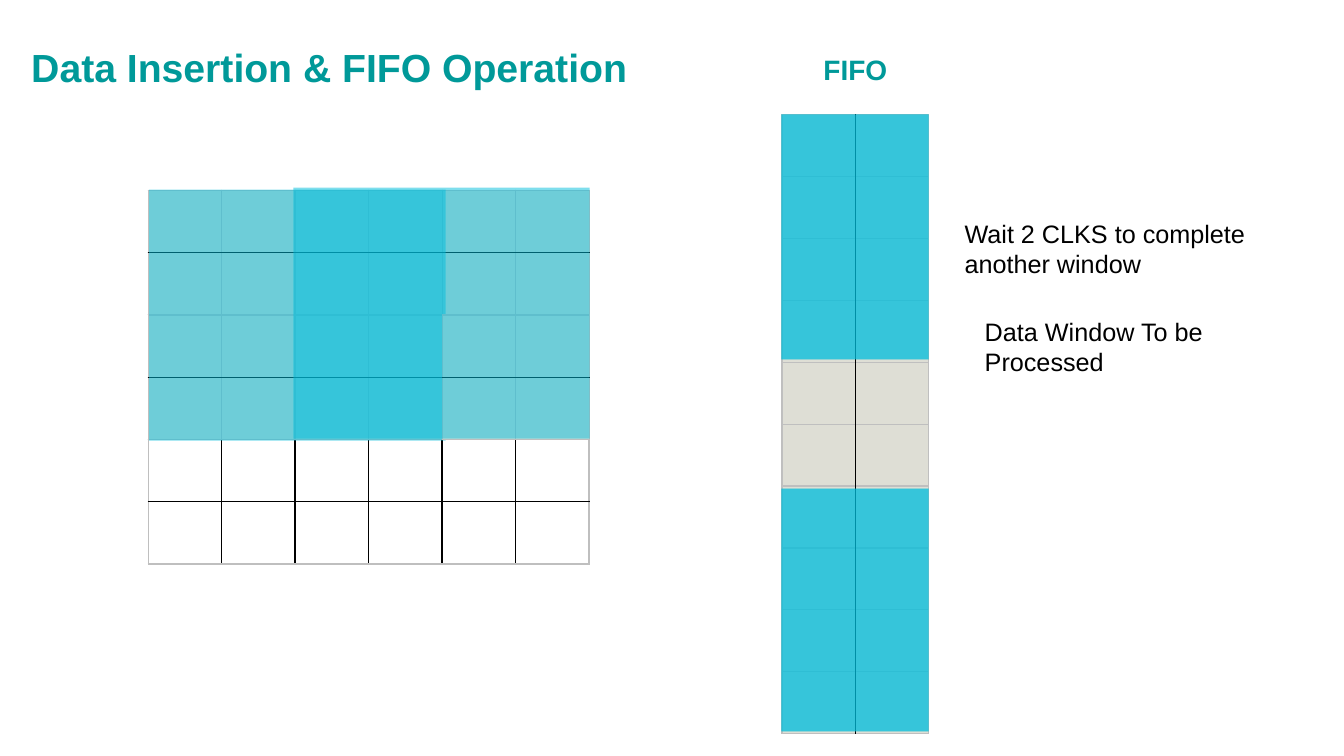
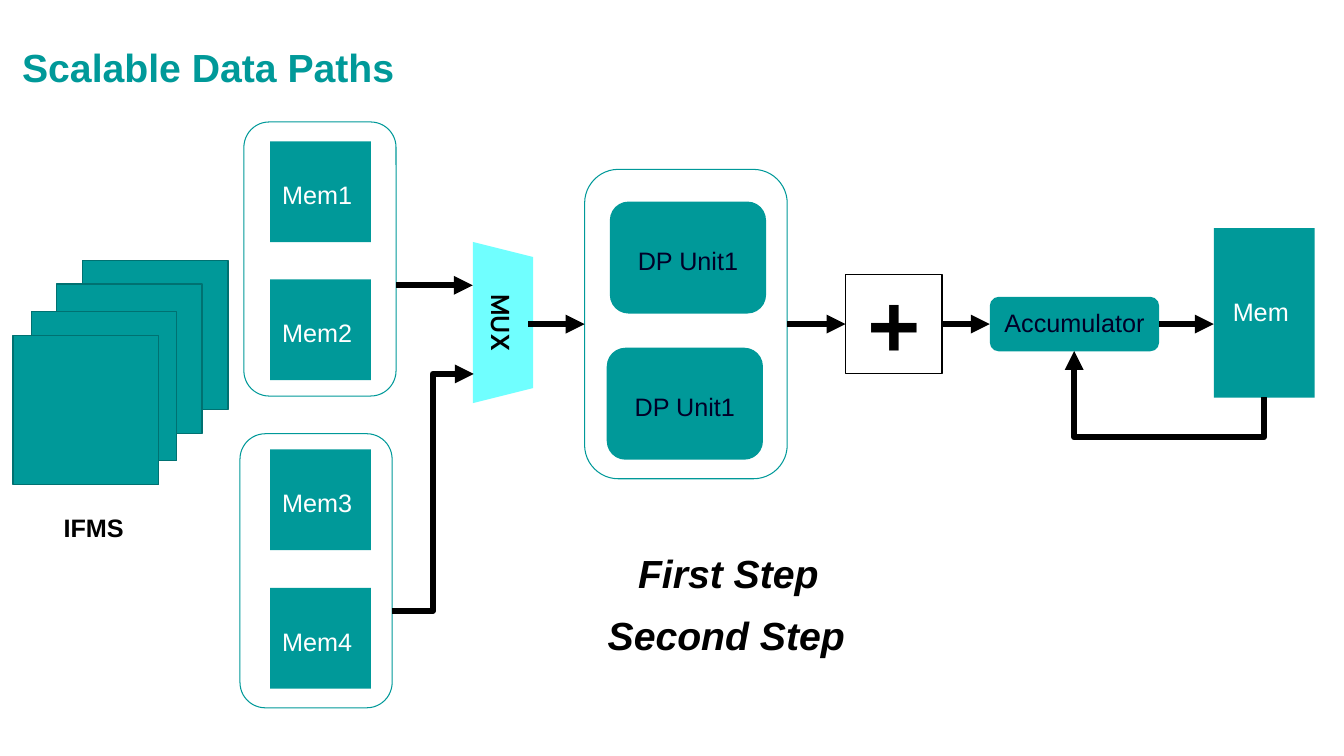
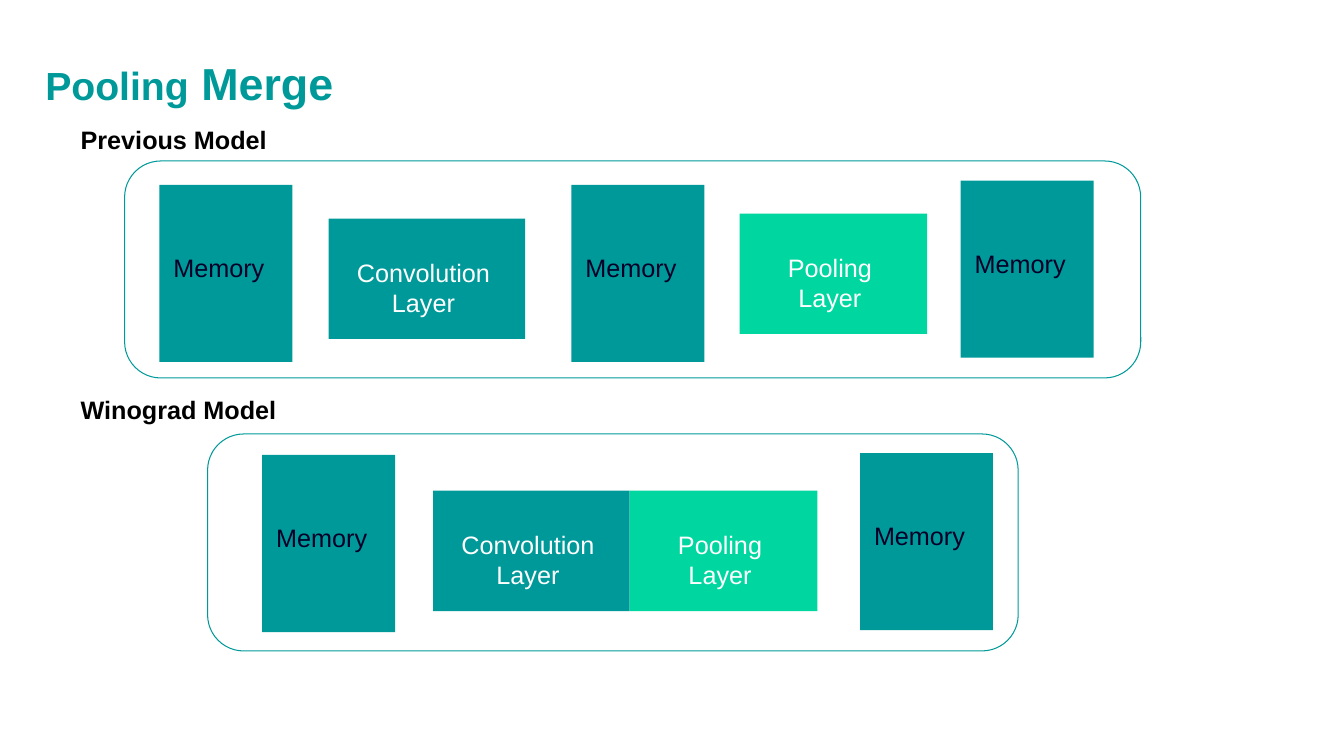
from lxml.etree import SubElement
from pptx import Presentation
from pptx.dml.color import RGBColor
from pptx.enum.shapes import MSO_CONNECTOR as Connector, MSO_SHAPE as Shape
from pptx.enum.text import MSO_ANCHOR as Anchor, MSO_AUTO_SIZE as AutoSize, PP_ALIGN as Align
from pptx.oxml.ns import qn
from pptx.util import Pt

TEAL = RGBColor(0x00, 0x99, 0x99)
DARK_TEAL = RGBColor(0x00, 0x71, 0x71)
GREEN = RGBColor(0x00, 0xD7, 0xA0)
CYAN = RGBColor(0x00, 0xBE, 0xDC)
AQUA = RGBColor(0x70, 0xFF, 0xFF)
SAND = RGBColor(0xDE, 0xDE, 0xD5)
GREY = RGBColor(0xBF, 0xBF, 0xBF)
NAVY = RGBColor(0x00, 0x00, 0x28)
BLACK = RGBColor(0x00, 0x00, 0x00)
WHITE = RGBColor(0xFF, 0xFF, 0xFF)

HEADING = {"vertical_anchor": Anchor.BOTTOM, "margin_left": 0, "margin_top": 0,
           "margin_right": Pt(25), "margin_bottom": Pt(1.4)}
PLAIN = {"margin_left": 0, "margin_top": 0, "margin_right": 0, "margin_bottom": 0}
ONE_DOWN = {"margin_left": Pt(8.6), "margin_top": Pt(27.3), "margin_right": Pt(8.6), "margin_bottom": 0}
TWO_DOWN = ONE_DOWN | {"margin_top": Pt(48.3)}
TOP_LEFT = ONE_DOWN | {"margin_top": Pt(5.8), "margin_right": 0}
MIDDLE = {"vertical_anchor": Anchor.MIDDLE}
REGULAR = {"name": "Arial", "size": Pt(18), "bold": False}
BOLD = REGULAR | {"bold": True}
TITLE_FONT = BOLD | {"size": Pt(28)}
STEP_FONT = TITLE_FONT | {"italic": True}


def write(frame, parts, color, layout, align=Align.LEFT):
    frame.word_wrap = True
    frame.auto_size = AutoSize.NONE
    frame.vertical_anchor = Anchor.TOP
    for key, value in layout.items():
        setattr(frame, key, value)
    paragraph = frame.paragraphs[0]
    paragraph.alignment = align
    for text, font in parts:
        for number, line in enumerate(text.split("\n")):
            if number:
                paragraph.add_line_break()
            run = paragraph.add_run()
            run.text = line
            run.font.color.rgb = color
            for key, value in font.items():
                setattr(run.font, key, value)
    return paragraph


def add_block(slide, kind, at, fill=None, outline=None, width=0.75):
    block = slide.shapes.add_shape(kind, *map(Pt, at))
    block.shadow.inherit = False
    if fill is None:
        block.fill.background()
    else:
        block.fill.solid()
        block.fill.fore_color.rgb = fill
    if outline is None:
        block.line.fill.background()
    else:
        block.line.color.rgb = outline
        block.line.width = Pt(width)
    return block


deck = Presentation()
deck.slide_width, deck.slide_height = Pt(960), Pt(540)

slides = []
for left, top, parts in [
    (22.3, 20.9, [("Data Insertion & FIFO Operation", TITLE_FONT)]),
    (15.8, 20.9, [("Scalable Data Paths", TITLE_FONT)]),
    (32.4, 34.6, [("Pooling", TITLE_FONT), (" Merge", TITLE_FONT | {"size": Pt(32)})]),
]:
    slide = deck.slides.add_slide(deck.slide_layouts[5])
    title = slide.shapes.title
    title.left, title.top, title.width, title.height = map(Pt, (left, top, 777, 45.4))
    write(title.text_frame, parts, TEAL, HEADING).line_spacing = 0.9
    slides.append(slide)
fifo_slide, path_slide, pooling_slide = slides

for slide, at, text, font, color, layout, align in [
    (fifo_slide, (588.2, 17.6, 159, 45.4), "FIFO", BOLD | {"size": Pt(20)}, TEAL, HEADING, Align.LEFT),
    (fifo_slide, (703.4, 226, 220, 44), "Data Window To be Processed", REGULAR, BLACK, PLAIN, Align.LEFT),
    (fifo_slide, (689, 156, 226, 44), "Wait 2 CLKS to complete another window", REGULAR, BLACK, PLAIN, Align.LEFT),
    (path_slide, (45.4, 366.2, 135, 22), "IFMS", BOLD, BLACK, PLAIN, Align.LEFT),
    (path_slide, (370.5, 392.4, 299.5, 34), "First Step", STEP_FONT, BLACK, PLAIN, Align.CENTER),
    (path_slide, (369, 436.3, 299.5, 34), "Second Step", STEP_FONT, BLACK, PLAIN, Align.CENTER),
    (pooling_slide, (57.6, 88.6, 265, 22), "Previous Model", BOLD, BLACK, PLAIN, Align.LEFT),
    (pooling_slide, (57.6, 281.5, 265, 22), "Winograd Model", BOLD, BLACK, PLAIN, Align.LEFT),
]:
    label = slide.shapes.add_textbox(*map(Pt, at))
    paragraph = write(label.text_frame, [(text, font)], color, layout, align)
    if layout is HEADING:
        paragraph.line_spacing = 0.9

CELL_WIDTH, CELL_HEIGHT, SLOT_PITCH = 52.5, 44.5, 44.2
INPUT_LEFT, INPUT_TOP, FIFO_LEFT, FIFO_TOP = 105.8, 136, 558.5, 82
input_columns = [
    (INPUT_LEFT + column * CELL_WIDTH, INPUT_TOP + half * 2 * CELL_HEIGHT, 1, 2, CELL_HEIGHT, SAND)
    for half in range(2) for column in range(6)
]
fifo_slots = [(FIFO_LEFT, FIFO_TOP + slot * SLOT_PITCH, 2, 1, SLOT_PITCH, SAND) for slot in range(10)]
grids = [
    (INPUT_LEFT, INPUT_TOP, 6, 6, CELL_HEIGHT, WHITE),
    (FIFO_LEFT, FIFO_TOP, 2, 10, SLOT_PITCH, WHITE),
]
fifo_windows = [(558.2, 81.8, 105.1, 175), (558.2, 349, 105.1, 173.5)]

for layer_grids, windows in [
    (grids + input_columns[:10] + fifo_slots, [(106.6, 135.4, 211.7, 179.3)] + fifo_windows),
    (input_columns[10:], [(209.5, 134, 211.7, 179.3)] + fifo_windows),
]:
    for left, top, columns, rows, row_height, fill in layer_grids:
        grid = fifo_slide.shapes.add_table(
            rows, columns, Pt(left), Pt(top), Pt(columns * CELL_WIDTH), Pt(rows * row_height)).table
        grid.first_row = grid.horz_banding = False
        for row in range(rows):
            for column in range(columns):
                cell = grid.cell(row, column)
                cell.fill.solid()
                cell.fill.fore_color.rgb = fill
                properties = cell._tc.get_or_add_tcPr()
                for place, (edge, outer) in enumerate([
                    ("a:lnL", column == 0), ("a:lnR", column == columns - 1),
                    ("a:lnT", row == 0), ("a:lnB", row == rows - 1),
                ]):
                    border = SubElement(properties, qn(edge), w=str(Pt(1)))
                    paint = SubElement(border, qn("a:solidFill"))
                    SubElement(paint, qn("a:srgbClr"), val=str(GREY if outer else BLACK))
                    properties.insert(place, border)
    for at in windows:
        window = add_block(fifo_slide, Shape.RECTANGLE, at, CYAN)
        tint = next(window.element.spPr.iter(qn("a:srgbClr")))
        SubElement(tint, qn("a:alpha"), val="50000")

for left, top in [(59, 186), (40.3, 203), (22.3, 222.5), (9.4, 239.8)]:
    add_block(path_slide, Shape.RECTANGLE, (left, top, 104, 106.5), TEAL, DARK_TEAL, 1)

for number, top in enumerate([101, 199.5, 321, 420], 1):
    bank = add_block(path_slide, Shape.RECTANGLE, (193, top, 72, 72), TEAL)
    write(bank.text_frame, [(f"Mem{number}", REGULAR)], WHITE, ONE_DOWN)

for left, top in [(435.6, 144), (433.4, 248.4)]:
    unit = add_block(path_slide, Shape.ROUNDED_RECTANGLE, (left, top, 111.6, 80), TEAL)
    write(unit.text_frame, [("DP Unit1", REGULAR)], NAVY, ONE_DOWN, Align.CENTER)

for left, top in [(174.2, 87.1), (171.4, 309.8)]:
    add_block(path_slide, Shape.ROUNDED_RECTANGLE, (left, top, 108.7, 195.8), None, TEAL)

units = add_block(path_slide, Shape.ROUNDED_RECTANGLE, (417.6, 121, 144.7, 221), None, TEAL)
adder = add_block(path_slide, Shape.RECTANGLE, (604, 196, 69, 71), WHITE, BLACK, 1)
accumulator = add_block(path_slide, Shape.ROUNDED_RECTANGLE, (707, 212, 121, 39), TEAL)
memory = add_block(path_slide, Shape.RECTANGLE, (867, 163, 72, 121), TEAL)
mux = add_block(path_slide, Shape.TRAPEZOID, (301.7, 208.8, 115.2, 43.2), AQUA)
mux.rotation = 90
manrope = BOLD | {"name": "Manrope"}
for block, text, font, color, layout, align in [
    (adder, "+", manrope | {"size": Pt(72)}, BLACK, MIDDLE, Align.CENTER),
    (accumulator, "Accumulator", REGULAR, NAVY, TOP_LEFT, Align.LEFT),
    (memory, "Mem", REGULAR, WHITE, TWO_DOWN | {"margin_left": Pt(13.6)}, Align.LEFT),
    (mux, "MUX", manrope, BLACK, MIDDLE, Align.CENTER),
]:
    write(block.text_frame, [(text, font)], color, layout, align)

FLOW = 231.5
for kind, ends, source, target in [
    (Connector.STRAIGHT, (283, 203.8, 337.7, 203.8), None, None),
    (Connector.STRAIGHT, (377.3, FLOW, 417.6, FLOW), None, units),
    (Connector.STRAIGHT, (562.3, FLOW, 604, FLOW), units, adder),
    (Connector.STRAIGHT, (673, FLOW, 707, FLOW), adder, accumulator),
    (Connector.STRAIGHT, (828, FLOW, 867, FLOW), accumulator, None),
    (Connector.ELBOW, (280, 436.3, 338.4, 267.1), None, None),
    (Connector.ELBOW, (851.6, 199.5, 818.6, 335), None, None),
]:
    arrow = path_slide.shapes.add_connector(kind, *map(Pt, ends))
    if source is not None:
        arrow.begin_connect(source, 3)
    if target is not None:
        arrow.end_connect(target, 1)
    arrow.line.color.rgb = BLACK
    arrow.line.width = Pt(4.5)
    outline = arrow.element.spPr
    SubElement(outline.find(qn("a:ln")), qn("a:tailEnd"), type="triangle")
    SubElement(outline, qn("a:effectLst"))

feedback = arrow.element.spPr
feedback.find(qn("a:xfrm")).set("rot", "5400000")
bend = next(feedback.iter(qn("a:avLst")))
SubElement(bend, qn("a:gd"), name="adj1", fmla="val -86500")

MEMORY = ("Memory", 95, 126.5, TEAL, NAVY, TWO_DOWN | {"margin_right": Pt(18.6)})
CONVOLUTION = ("Convolution\nLayer", 140.4, 86, TEAL, WHITE, ONE_DOWN | {"margin_right": Pt(13.6)})
POOLING = ("Pooling\nLayer", 134, 86, GREEN, WHITE, ONE_DOWN | {"margin_right": Pt(13.6)})
for (text, width, height, fill, color, layout), left, top in [
    (MEMORY, 113.8, 132), (CONVOLUTION, 234.8, 156.2), (MEMORY, 408.2, 132),
    (POOLING, 528.3, 152.6), (MEMORY, 686.2, 129),
    (MEMORY, 187.3, 325), (CONVOLUTION, 309.4, 350.5), (POOLING, 449.8, 350.5), (MEMORY, 614.3, 323.7),
]:
    stage = add_block(pooling_slide, Shape.RECTANGLE, (left, top, width, height), fill)
    write(stage.text_frame, [(text, REGULAR)], color, layout, Align.CENTER)

for left, top, width in [(89, 115, 725.8), (148.3, 310, 579)]:
    add_block(pooling_slide, Shape.ROUNDED_RECTANGLE, (left, top, width, 155), None, TEAL)

deck.save("out.pptx")
